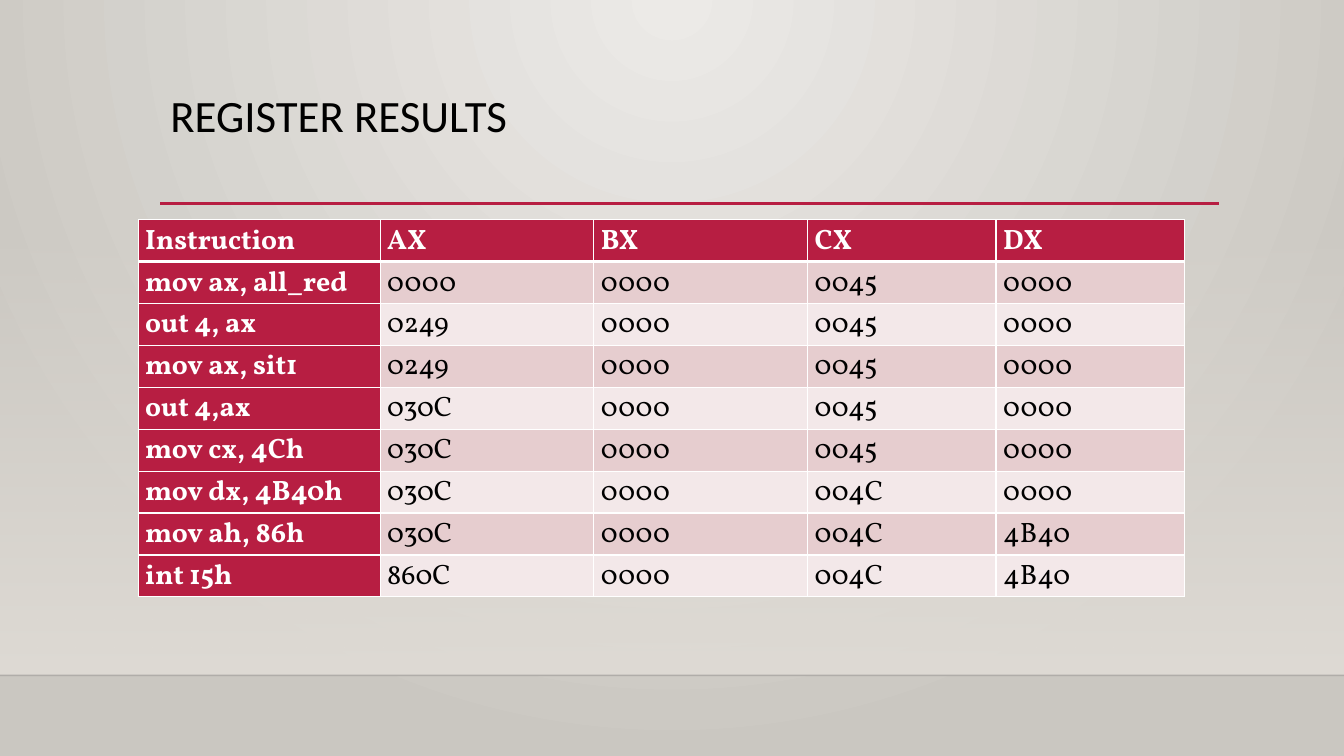
from lxml import etree
from pptx import Presentation
from pptx.dml.color import RGBColor
from pptx.enum.shapes import MSO_CONNECTOR, MSO_SHAPE
from pptx.enum.text import MSO_ANCHOR, PP_ALIGN
from pptx.oxml import parse_xml
from pptx.oxml.ns import nsdecls, qn
from pptx.util import Inches, Pt

COLORS = {
    "crimson": "B71E42",
    "band_dark": "E6CDCF",
    "band_light": "F3E8E9",
    "white": "FFFFFF",
    "black": "000000",
    "wall_center": "ECEAE7",
    "wall_edge": "CAC7C1",
    "floor": "DFDBD5",
    "floor_line": "000001",
}
SLIDE_WIDTH, SLIDE_HEIGHT = 13.33, 7.5
FLOOR_TOP = 6.7
COLUMN_WIDTHS = [2.4, 2.12, 2.12, 1.87, 1.87]
REGISTER_ROWS = [
    ["Instruction", "AX", "BX", "CX", "DX"],
    ["mov ax, all_red", "0000", "0000", "0045", "0000"],
    ["out 4, ax", "0249", "0000", "0045", "0000"],
    ["mov ax, sit1", "0249", "0000", "0045", "0000"],
    ["out 4,ax", "030C", "0000", "0045", "0000"],
    ["mov cx, 4Ch", "030C", "0000", "0045", "0000"],
    ["mov dx, 4B40h", "030C", "0000", "004C", "0000"],
    ["mov ah, 86h", "030C", "0000", "004C", "4B40"],
    ["int 15h", "860C", "0000", "004C", "4B40"],
]


def rgb(name):
    return RGBColor.from_string(COLORS[name])


def write_text(frame, text, *, size, font, color, bold=False, spacing=1.0):
    paragraph = frame.paragraphs[0]
    paragraph.alignment = PP_ALIGN.LEFT
    paragraph.line_spacing = spacing
    run = paragraph.add_run()
    run.text = text
    run.font.size = Pt(size)
    run.font.name = font
    run.font.bold = bold
    run.font.color.rgb = rgb(color)


def set_gradient(properties, stops, direction):
    """Replace a solid fill by a gradient; stops are (percent, color, opacity)."""
    stop_xml = "".join(
        f'<a:gs pos="{percent * 1000}"><a:srgbClr val="{COLORS[color]}">'
        f'<a:alpha val="{opacity * 1000}"/></a:srgbClr></a:gs>'
        for percent, color, opacity in stops
    )
    gradient = parse_xml(
        f'<a:gradFill {nsdecls("a")} rotWithShape="1">'
        f"<a:gsLst>{stop_xml}</a:gsLst>{direction}</a:gradFill>"
    )
    properties.replace(properties.find(qn("a:solidFill")), gradient)


def add_line(slide, left, top, width, *, color, weight, opacity=100):
    line = slide.shapes.add_connector(
        MSO_CONNECTOR.STRAIGHT,
        Inches(left), Inches(top), Inches(left + width), Inches(top),
    )
    line.line.color.rgb = rgb(color)
    line.line.width = Pt(weight)
    properties = line.element.spPr
    if opacity < 100:
        color_element = properties.find(".//" + qn("a:srgbClr"))
        alpha = etree.SubElement(color_element, qn("a:alpha"))
        alpha.set("val", str(opacity * 1000))
    etree.SubElement(properties, qn("a:effectLst"))


def add_backdrop(slide):
    slide.background.fill.solid()
    set_gradient(
        slide.element.find(".//" + qn("p:bgPr")),
        [(0, "wall_center", 100), (100, "wall_edge", 100)],
        '<a:path path="circle">'
        '<a:fillToRect l="43000" t="0" r="43000" b="100000"/></a:path>',
    )
    glow_top = 2.21
    glow = slide.shapes.add_shape(
        MSO_SHAPE.RECTANGLE, 0, Inches(glow_top),
        Inches(SLIDE_WIDTH), Inches(FLOOR_TOP - glow_top),
    )
    glow.shadow.inherit = False
    glow.line.fill.background()
    glow.fill.solid()
    set_gradient(
        glow.element.spPr,
        [(0, "floor", 0), (100, "floor", 100)],
        '<a:lin ang="5400000" scaled="0"/>',
    )
    add_line(slide, 0, FLOOR_TOP, SLIDE_WIDTH,
             color="floor_line", weight=1, opacity=20)


def add_title(slide, text, left, top, width, height):
    title = slide.shapes.title
    title.left, title.top = Inches(left), Inches(top)
    title.width, title.height = Inches(width), Inches(height)
    frame = title.text_frame
    frame.word_wrap = True
    frame.vertical_anchor = MSO_ANCHOR.TOP
    write_text(frame, text, size=32, font="Calibri", color="black", spacing=0.9)
    add_line(slide, left, top + height, width, color="crimson", weight=2.5)


def set_borders(cell, top, bottom):
    """Draw white borders, one point wide at the sides."""
    weights = {"lnL": 1, "lnR": 1, "lnT": top, "lnB": bottom}
    properties = cell._tc.get_or_add_tcPr()
    for index, (side, weight) in enumerate(weights.items()):
        properties.insert(index, parse_xml(
            f'<a:{side} {nsdecls("a")} w="{Pt(weight)}"><a:solidFill>'
            f'<a:srgbClr val="{COLORS["white"]}"/></a:solidFill></a:{side}>'
        ))


def add_register_table(slide, left, top, row_height):
    table = slide.shapes.add_table(
        len(REGISTER_ROWS), len(COLUMN_WIDTHS), Inches(left), Inches(top),
        Inches(sum(COLUMN_WIDTHS)), Inches(row_height * len(REGISTER_ROWS)),
    ).table
    table.first_col = True
    for column, width in zip(table.columns, COLUMN_WIDTHS):
        column.width = Inches(width)
    for row_index, values in enumerate(REGISTER_ROWS):
        table.rows[row_index].height = Inches(row_height)
        band = "band_dark" if row_index % 2 else "band_light"
        for column_index, value in enumerate(values):
            is_heading = row_index == 0 or column_index == 0
            cell = table.cell(row_index, column_index)
            cell.margin_left = cell.margin_right = Inches(0.07)
            cell.margin_top = cell.margin_bottom = 0
            cell.fill.solid()
            cell.fill.fore_color.rgb = rgb("crimson" if is_heading else band)
            set_borders(cell, top=3 if row_index == 1 else 1,
                        bottom=3 if row_index == 0 else 1)
            write_text(
                cell.text_frame, value, size=20, font="Vollkorn", spacing=1.07,
                color="white" if is_heading else "black", bold=is_heading,
            )


def main():
    presentation = Presentation()
    presentation.slide_width = Inches(SLIDE_WIDTH)
    presentation.slide_height = Inches(SLIDE_HEIGHT)
    title_only = presentation.slide_layouts.get_by_name("Title Only")
    slide = presentation.slides.add_slide(title_only)
    add_backdrop(slide)
    add_title(slide, "REGISTER RESULTS", 1.59, 0.88, 10.5, 1.14)
    add_register_table(slide, 1.37, 2.18, 0.41)
    presentation.save("out.pptx")


if __name__ == "__main__":
    main()
